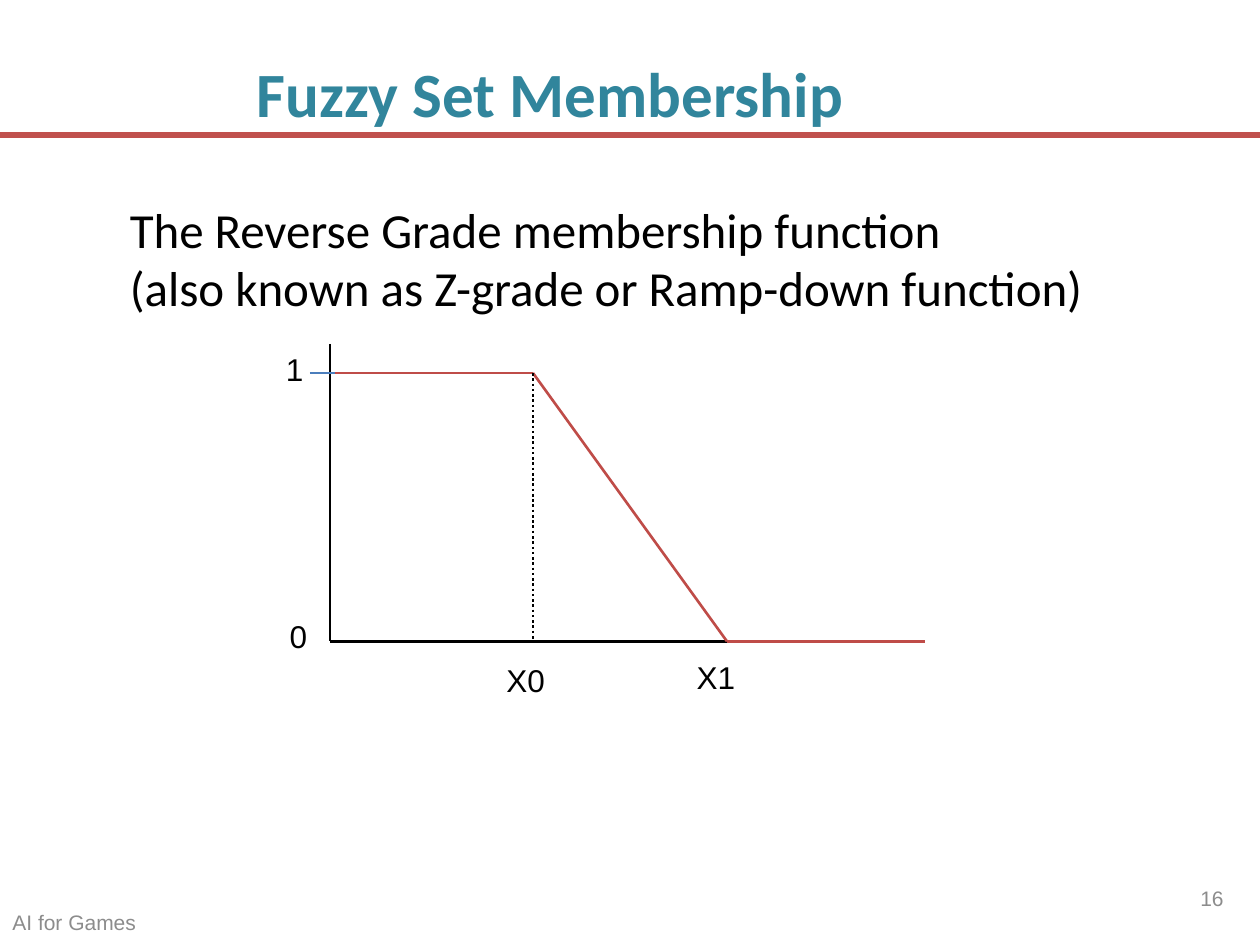
from lxml import etree
from pptx import Presentation, util as u
from pptx.dml.color import RGBColor
from pptx.enum import dml, shapes, text
from pptx.oxml.ns import qn

SLIDE = (10, 7.5)
BLACK, RED, RULE, BLUE, TEAL, GREY = "000000", "BF4C48", "C0504D", "4B7EBC", "31859C", "8C8C8C"
LEFT, CENTER, RIGHT = text.PP_ALIGN.LEFT, text.PP_ALIGN.CENTER, text.PP_ALIGN.RIGHT
TOP, MIDDLE = text.MSO_ANCHOR.TOP, text.MSO_ANCHOR.MIDDLE

TITLE = ["Fuzzy Set Membership"]
BODY = ["The Reverse Grade membership function",
        "(also known as Z-grade or Ramp-down function)"]
# Places are percentages of the slide: left, top, width, height
TITLE_AT = (5, 5.07, 77.3, 11.33)
BODY_AT = (9.3, 20.4, 78.6, 18.4)
TITLE_FONT = {"name": "Calibri", "size": u.Pt(36), "bold": True}
BODY_FONT = {"name": "Calibri", "size": u.Pt(28)}
SMALL_FONT = {"name": "Arial", "size": u.Pt(12)}
LABEL_FONT = {"name": "Arial", "size": u.Pt(18)}
FOOTERS = [("AI for Games", (0, 95.07, 46.1, 4.93), LEFT),
           ("16", (91.7, 91.47, 6.4, 7.07), RIGHT)]
LABELS = [("0", (22, 64.67, 3.4, 5.33)), ("1", (21.7, 36.4, 3.4, 5.33)),
          ("X0", (39.2, 69.33, 5.1, 5.33)), ("X1", (54.3, 68.93, 5.1, 5.33))]

COLUMNS = {"start": 0, "tick": 24.6, "axis": 26.2, "curve": 26.6,
           "x0": 42.3, "x1": 57.7, "limit": 73.4, "end": 100}
ROWS = {"rule": 14.27, "peak": 36.4, "one": 39.47, "zero": 67.87}
LINES = [("start", "rule", "end", "rule", RULE, 3.5, None),
         ("axis", "peak", "axis", "zero", BLACK, 1.5, None),
         ("axis", "zero", "limit", "zero", BLACK, 1.5, None),
         ("tick", "one", "curve", "one", BLUE, 0.75, None),
         ("x0", "one", "x1", "zero", RED, 1.5, None),
         ("x1", "zero", "limit", "zero", RED, 1.5, None),
         ("curve", "one", "x0", "one", RED, 1.5, None),
         ("x0", "one", "x0", "zero", BLACK, 1.5, dml.MSO_LINE.ROUND_DOT)]


def color(value):
    return RGBColor.from_string(value)


def across(share):
    return u.Inches(SLIDE[0] * share / 100)


def down(share):
    return u.Inches(SLIDE[1] * share / 100)


def assign(target, values):
    for name, value in values.items():
        setattr(target, name, value)


def write(box, lines, place, font, fill, align=LEFT, anchor=TOP, wrap=True):
    left, top, width, height = place
    assign(box, {"left": across(left), "top": down(top),
                 "width": across(width), "height": down(height)})
    frame = box.text_frame
    frame.text = "\n".join(lines)
    assign(frame, {"word_wrap": wrap, "vertical_anchor": anchor,
                   "auto_size": text.MSO_AUTO_SIZE.NONE})
    for para in frame.paragraphs:
        properties = para._p.get_or_add_pPr()
        assign(para, {"alignment": align, "space_before": u.Pt(0)})
        properties.set("marL", "0")
        properties.set("indent", "0")
        etree.SubElement(properties, qn("a:buNone"))
        for span in para.runs:
            assign(span.font, font)
            span.font.color.rgb = color(fill)


def draw_line(page, x1, y1, x2, y2, stroke, width, dash):
    line = page.shapes.add_connector(
        shapes.MSO_CONNECTOR.STRAIGHT, across(COLUMNS[x1]), down(ROWS[y1]),
        across(COLUMNS[x2]), down(ROWS[y2]))
    line.line.color.rgb = color(stroke)
    assign(line.line, {"width": u.Pt(width), "dash_style": dash})
    etree.SubElement(line._element.spPr, qn("a:effectLst"))


def add_box(page):
    return page.shapes.add_textbox(0, 0, 0, 0)


def main():
    """Build the slide on the reverse grade membership function."""
    deck = Presentation()
    assign(deck, {"slide_width": u.Inches(SLIDE[0]), "slide_height": u.Inches(SLIDE[1])})
    page = deck.slides.add_slide(deck.slide_layouts[1])
    write(page.shapes.title, TITLE, TITLE_AT, TITLE_FONT, TEAL, CENTER)
    write(page.placeholders[1], BODY, BODY_AT, BODY_FONT, BLACK)
    for words, place, align in FOOTERS:
        write(add_box(page), [words], place, SMALL_FONT, GREY, align, MIDDLE)
    for line in LINES:
        draw_line(page, *line)
    for words, place in LABELS:
        write(add_box(page), [words], place, LABEL_FONT, BLACK, wrap=False)
    deck.save("out.pptx")


if __name__ == "__main__":
    main()
